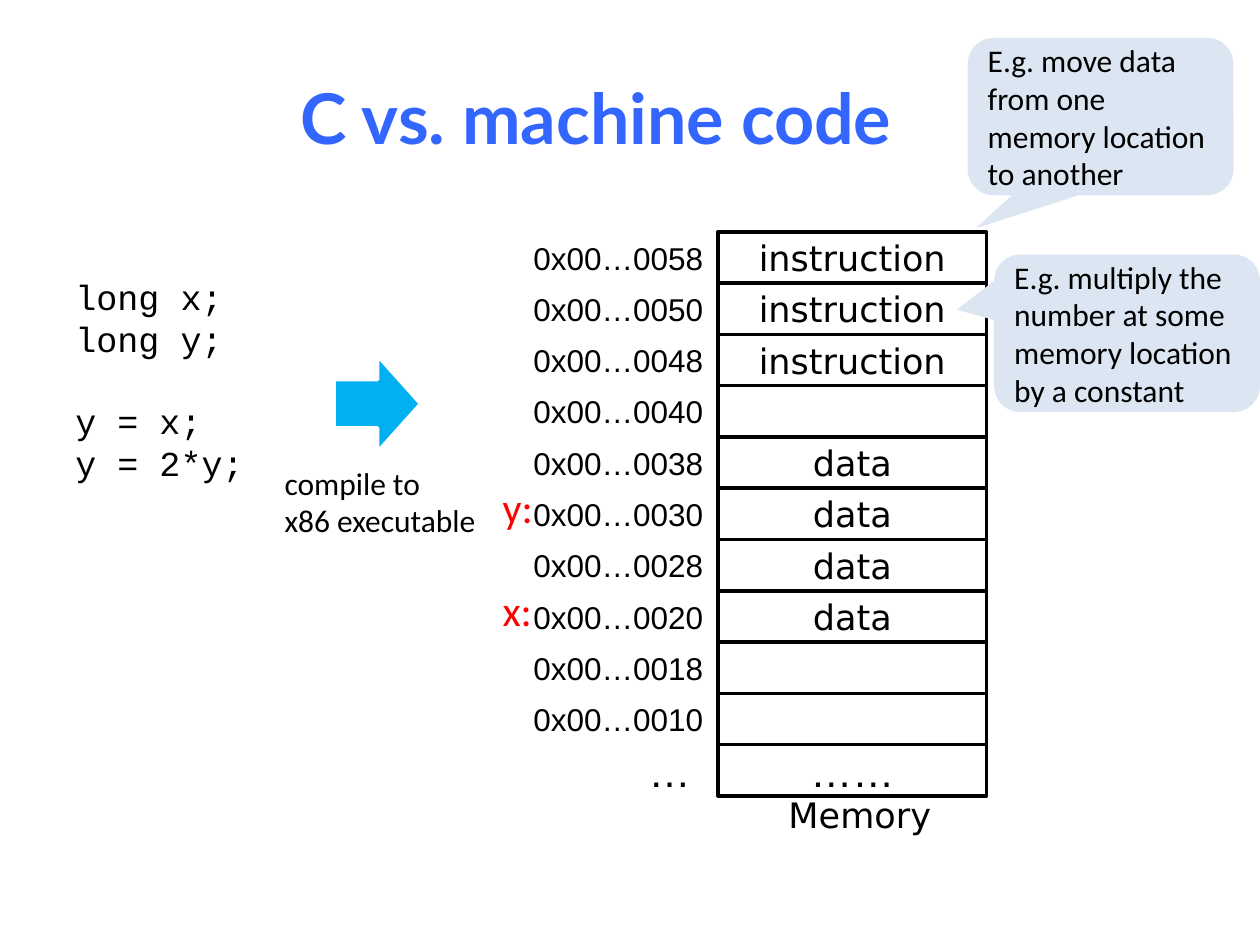
from pptx import Presentation
from pptx.dml.color import RGBColor
from pptx.enum.shapes import MSO_SHAPE
from pptx.enum.text import MSO_ANCHOR, PP_ALIGN
from pptx.util import Inches, Pt

LEFT, CENTER, RIGHT = PP_ALIGN.LEFT, PP_ALIGN.CENTER, PP_ALIGN.RIGHT
TOP, MIDDLE = MSO_ANCHOR.TOP, MSO_ANCHOR.MIDDLE
RECTANGLE, ARROW = MSO_SHAPE.RECTANGLE, MSO_SHAPE.RIGHT_ARROW
CALLOUT = MSO_SHAPE.ROUNDED_RECTANGULAR_CALLOUT

THEME = {
    "title": ("Lato", 40, "3366FF"),
    "code": ("Courier New", 20, "000000"),
    "cell": ("DejaVu Sans", 20, "000000"),
    "address": ("Arial", 18, "000000"),
    "ellipsis": ("Arial", 24, "000000"),
    "variable": ("Calibri", 24, "FF0000"),
    "note": ("Calibri", 18, "000000"),
    "paper": "FFFFFF",
    "ink": "000000",
    "arrow": "00B0F0",
    "callout": "DCE6F2",
}

presentation = Presentation()
presentation.slide_width, presentation.slide_height = Inches(10), Inches(7.5)
COLUMN = presentation.slide_width / 100
ROW = presentation.slide_height / 75
slide = presentation.slides.add_slide(presentation.slide_layouts[5])


def write(shape, lines, style, align=LEFT, anchor=TOP, wrap=True):
    name, size, color = THEME[style]
    frame = shape.text_frame
    frame.word_wrap = wrap
    frame.vertical_anchor = anchor
    for index, line in enumerate(lines):
        paragraph = frame.add_paragraph() if index else frame.paragraphs[0]
        paragraph.alignment = align
        run = paragraph.add_run()
        run.text = line
        run.font.name, run.font.size = name, Pt(size)
        run.font.color.rgb = RGBColor.from_string(color)
    return frame


def add_box(left, top, width, height, kind=None, fill=None, line=None, weight=0):
    area = [int(left * COLUMN), int(top * ROW), int(width * COLUMN), int(height * ROW)]
    if kind is None:
        return slide.shapes.add_textbox(*area)
    shape = slide.shapes.add_shape(kind, *area)
    shape.shadow.inherit = False
    shape.fill.solid()
    shape.fill.fore_color.rgb = RGBColor.from_string(THEME[fill])
    if line:
        shape.line.color.rgb = RGBColor.from_string(THEME[line])
        shape.line.width = Pt(weight)
    else:
        shape.line.fill.background()
    return shape


title = slide.shapes.title
title.left, title.top = int(2.3 * COLUMN), int(3 * ROW)
title.width, title.height = int(90 * COLUMN), int(12.5 * ROW)
title_frame = write(title, ["C vs. machine code"], "title", CENTER, MIDDLE)
title_frame.paragraphs[0].runs[0].font.bold = True

code_frame = write(add_box(5, 21.4, 21.5, 17.8),
                   ["long x;", "long y;", "y = x;", "y = 2*y;"], "code")
code_frame.paragraphs[2].space_before = Pt(22.7)

MEMORY_LEFT, MEMORY_TOP, MEMORY_WIDTH, CELL = 57, 18.4, 21.3, 4.07
ADDRESS_LEFT, ADDRESS_WIDTH = 41.2, 15.6
memory = [
    ("0x00…0058", "instruction"),
    ("0x00…0050", "instruction"),
    ("0x00…0048", "instruction"),
    ("0x00…0040", ""),
    ("0x00…0038", "data"),
    ("0x00…0030", "data"),
    ("0x00…0028", "data"),
    ("0x00…0020", "data"),
    ("0x00…0018", ""),
    ("0x00…0010", ""),
    ("…", "……"),
]
variables = {"0x00…0030": "y:", "0x00…0020": "x:"}

for index, (address, content) in enumerate(memory):
    top = MEMORY_TOP + index * CELL
    last = address == "…"
    cell = add_box(MEMORY_LEFT, top, MEMORY_WIDTH, CELL, RECTANGLE, "paper", "ink", 2)
    if content:
        write(cell, [content], "ellipsis" if last else "cell", CENTER, MIDDLE)
    label = add_box(ADDRESS_LEFT - last, top, ADDRESS_WIDTH, CELL)
    write(label, [address], "ellipsis" if last else "address", RIGHT, MIDDLE, False)
    if address in variables:
        variable = add_box(38.9, top - 1, 4.4, 5)
        write(variable, [variables[address]], "variable", wrap=False)

write(add_box(61.6, 62.5, 13.3, 4.4), ["Memory"], "cell", wrap=False)

add_box(26.5, 28.2, 6.9, 7.7, ARROW, "arrow", "paper", 2.25)
write(add_box(21.6, 36.3, 17.5, 7.1), ["compile to", "x86 executable"], "note", wrap=False)

callouts = [
    (76.8, 3, (-0.47, 0.71), "E.g. move data from one memory location to another"),
    (78.9, 20.2, (-0.64, -0.15),
     "E.g. multiply the number at some memory location by a constant"),
]
for left, top, pointer, text in callouts:
    callout = add_box(left, top, 21.1, 12.5, CALLOUT, "callout")
    callout.adjustments[0], callout.adjustments[1] = pointer
    write(callout, [text], "note", anchor=MIDDLE)

presentation.save("out.pptx")
